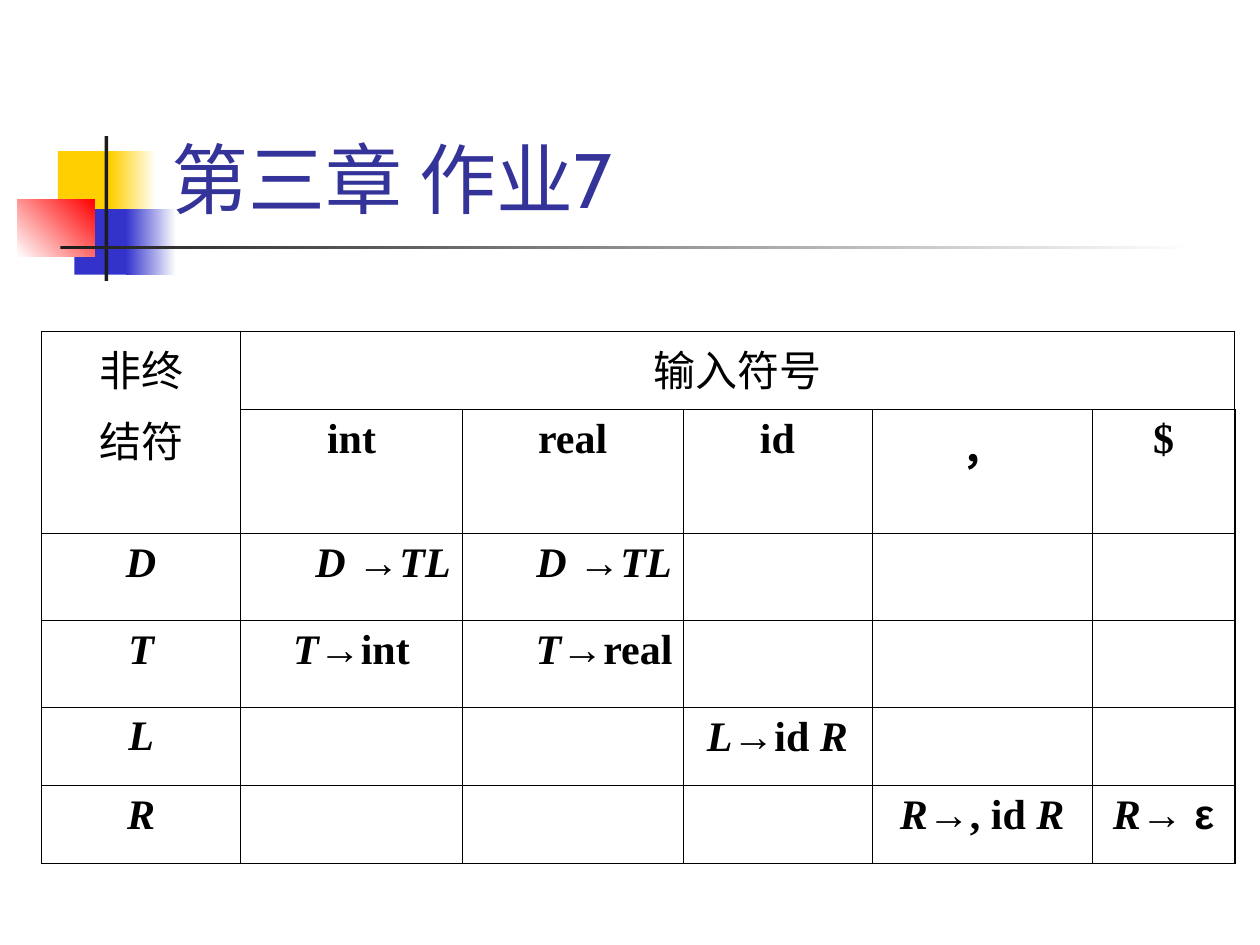
from lxml.etree import SubElement
from pptx import Presentation
from pptx.dml.color import RGBColor
from pptx.enum.shapes import MSO_SHAPE
from pptx.enum.text import MSO_ANCHOR, PP_ALIGN
from pptx.oxml.ns import qn
from pptx.util import Inches, Pt

YELLOW = RGBColor(0xFF, 0xCF, 0x01)
BLUE = RGBColor(0x33, 0x33, 0xCC)
RED = RGBColor(0xFF, 0x00, 0x00)
CHARCOAL = RGBColor(0x1C, 0x1C, 0x1C)
WHITE = RGBColor(0xFF, 0xFF, 0xFF)
BLACK = RGBColor(0x00, 0x00, 0x00)
TITLE_BLUE = RGBColor(0x33, 0x33, 0x99)
THIN, THICK = Pt(0.45), Pt(1.08)


def set_border(cell, side, width):
    """Draw one cell side, named lnL, lnR, lnT or lnB, in black."""
    line = SubElement(cell._tc.get_or_add_tcPr(), qn(f"a:{side}"), w=str(int(width)))
    fill = SubElement(line, qn("a:solidFill"))
    SubElement(fill, qn("a:srgbClr"), val=str(BLACK))


def write_paragraph(paragraph, text, bold):
    """Write parts split by "|": capitals are italic, arrows are in Arial."""
    paragraph.alignment = PP_ALIGN.CENTER
    paragraph.font.size = Pt(24)
    paragraph.font.bold = bold
    paragraph.font.color.rgb = BLACK
    for part in text.split("|"):
        run = paragraph.add_run()
        run.text = part
        run.font.name = "Arial" if "→" in part else "Times New Roman"
        run.font.italic = part.isupper()


presentation = Presentation()
presentation.slide_width = Inches(10)
presentation.slide_height = Inches(7.5)
slide = presentation.slides.add_slide(presentation.slide_layouts[6])

# Decoration: left, top, width, height, colours from start to end, angle
decorations = [
    (0.46, 1.2, 0.48, 0.52, [YELLOW], 0),
    (0.88, 1.2, 0.36, 0.52, [YELLOW, WHITE], 0),
    (0.59, 1.66, 0.46, 0.52, [BLUE], 0),
    (1, 1.66, 0.4, 0.52, [BLUE, WHITE], 0),
    (0.14, 1.58, 0.61, 0.46, [WHITE, RED], 45),
    (0.83, 1.08, 0.03, 1.15, [CHARCOAL], 0),
    (0.48, 1.95, 9, 0.03, [CHARCOAL, WHITE], 0),
]
for left, top, width, height, colors, angle in decorations:
    shape = slide.shapes.add_shape(
        MSO_SHAPE.RECTANGLE, Inches(left), Inches(top), Inches(width), Inches(height))
    shape.shadow.inherit = False
    shape.line.fill.background()
    if len(colors) == 1:
        shape.fill.solid()
        shape.fill.fore_color.rgb = colors[0]
    else:
        shape.fill.gradient()
        shape.fill.gradient_angle = angle
        for stop, color in zip(shape.fill.gradient_stops, colors):
            stop.color.rgb = color

title = slide.shapes.add_textbox(Inches(1.26), Inches(0.23), Inches(8.52), Inches(1.6))
title.text_frame.word_wrap = True
title.text_frame.vertical_anchor = MSO_ANCHOR.BOTTOM
paragraph = title.text_frame.paragraphs[0]
paragraph.text = "第三章 作业7"
paragraph.font.size = Pt(44)
paragraph.font.name = "Cabin"
paragraph.font.color.rgb = TITLE_BLUE

# Parsing table
rows = [
    ["非终\n结符", "输入符号", "", "", "", ""],
    ["", "int", "real", "id", "，", "$"],
    ["D", "D| →|TL", "D| →|TL", "", "", ""],
    ["T", "T|→|int", "T|→|real", "", "", ""],
    ["L", "", "", "L|→|id |R", "", ""],
    ["R", "", "", "", "R|→|, id |R", "R|→ ε"],
]
column_widths = [1.58, 1.76, 1.75, 1.5, 1.75, 1.13]
row_heights = [0.62, 0.95, 0.69, 0.69, 0.62, 0.62]
indented_cells = {(2, 1), (2, 2), (3, 2)}
last_row, last_column = len(rows) - 1, len(column_widths) - 1

table = slide.shapes.add_table(
    len(rows), len(column_widths), Inches(0.33), Inches(2.63),
    Inches(sum(column_widths)), Inches(sum(row_heights))).table
table.first_row = False
table.horz_banding = False
for column, width in zip(table.columns, column_widths):
    column.width = Inches(width)
for row, height in zip(table.rows, row_heights):
    row.height = Inches(height)
table.cell(0, 0).merge(table.cell(1, 0))
table.cell(0, 1).merge(table.cell(0, last_column))

for row_index, texts in enumerate(rows):
    for column_index, text in enumerate(texts):
        cell = table.cell(row_index, column_index)
        cell.margin_left = cell.margin_right = Inches(0.06)
        cell.margin_top = cell.margin_bottom = Inches(0.05)
        set_border(cell, "lnL", THICK if column_index == 0 else THIN)
        set_border(cell, "lnR", THICK if column_index == last_column else THIN)
        set_border(cell, "lnT", THICK if row_index == 0 else THIN)
        set_border(cell, "lnB", THICK if row_index == last_row else THIN)
        cell.fill.background()
        if not text:
            continue
        for line_index, line in enumerate(text.split("\n")):
            if line_index == 0:
                paragraph = cell.text_frame.paragraphs[0]
            else:
                paragraph = cell.text_frame.add_paragraph()
                paragraph.space_before = Pt(6)
            write_paragraph(paragraph, line, bold=row_index > 0)
        if (row_index, column_index) in indented_cells:
            paragraph.level = 1
            properties = paragraph._p.get_or_add_pPr()
            properties.set("marL", str(Inches(0.5)))
            properties.set("indent", "0")

presentation.save("out.pptx")
